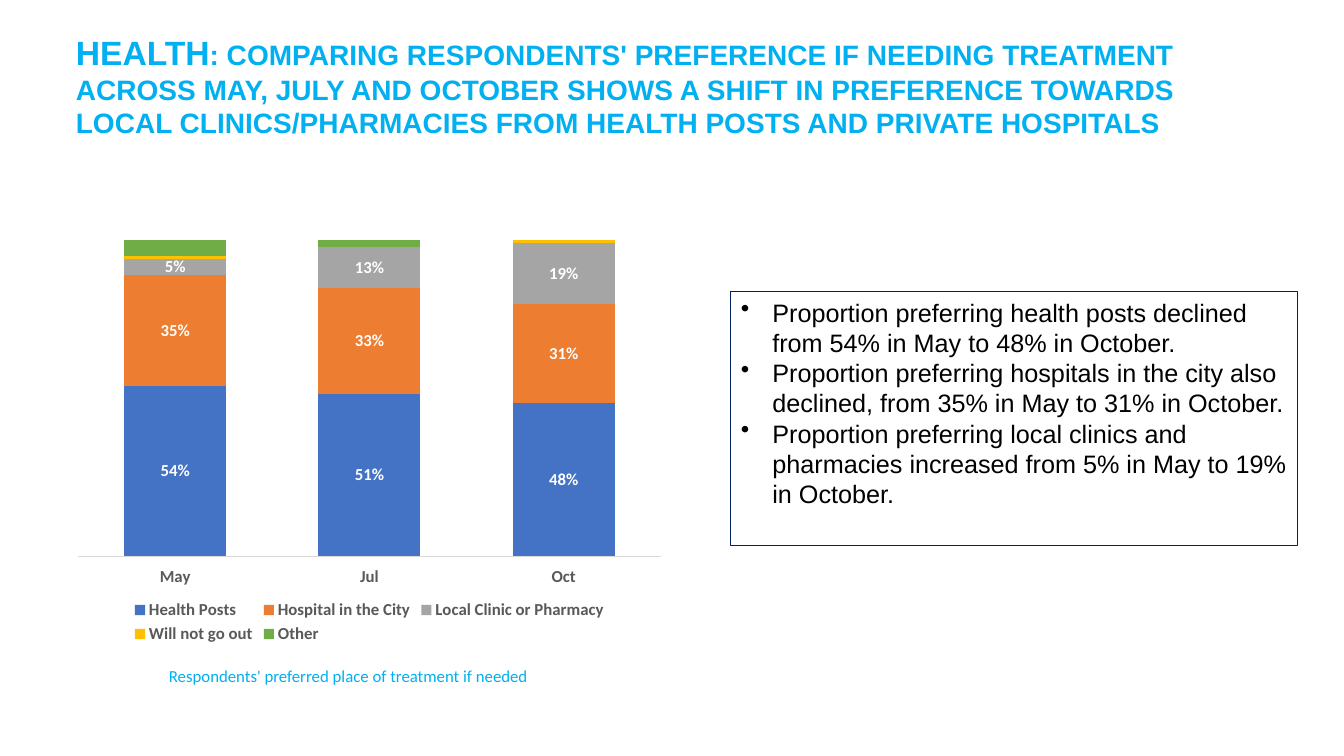
from lxml import etree
from pptx import Presentation
from pptx.chart.data import CategoryChartData
from pptx.dml.color import RGBColor
from pptx.enum.chart import (XL_CHART_TYPE, XL_LABEL_POSITION, XL_LEGEND_POSITION,
                             XL_TICK_LABEL_POSITION, XL_TICK_MARK)
from pptx.enum.shapes import MSO_SHAPE
from pptx.enum.text import MSO_ANCHOR, PP_ALIGN
from pptx.oxml import parse_xml
from pptx.oxml.ns import nsdecls, qn
from pptx.util import Emu, Pt

EMU_PER_PX = 914400 / 100.8
COLORS = {
    "sky": "00B0F0", "navy": "002060", "black": "000000", "white": "FFFFFF",
    "gray": "595959", "axis": "D9D9D9",
    "posts": "4472C4", "hospital": "ED7D31", "clinic": "A5A5A5",
    "stay": "FFC000", "other": "70AD47",
}


def px(length):
    return Emu(round(length * EMU_PER_PX))


def rgb(name):
    return RGBColor.from_string(COLORS[name])


class SlideBuilder:
    heading_font = "Arial"
    chart_font = "Calibri"

    def __init__(self, slide):
        self.slide = slide

    def style(self, font, name, size, color, bold=False):
        font.name, font.size, font.bold = name, Pt(size), bold
        font.color.rgb = rgb(color)

    def text(self, box, runs, name, color, bold=False):
        """Add a one-paragraph text box; runs are (text, size) pairs."""
        frame = self.slide.shapes.add_textbox(*map(px, box)).text_frame
        frame.word_wrap = True
        paragraph = frame.paragraphs[0]
        self.style(paragraph.font, name, runs[0][1], color, bold)
        for words, size in runs:
            run = paragraph.add_run()
            run.text = words
            if size != runs[0][1]:
                run.font.size = Pt(size)

    def bullet_box(self, box, points, size):
        panel = self.slide.shapes.add_shape(MSO_SHAPE.RECTANGLE, *map(px, box))
        panel.shadow.inherit = False
        panel.fill.background()
        panel.line.color.rgb = rgb("navy")
        panel.line.width = Pt(0.75)
        frame = panel.text_frame
        frame.word_wrap = True
        frame.vertical_anchor = MSO_ANCHOR.TOP
        for index, point in enumerate(points):
            paragraph = frame.add_paragraph() if index else frame.paragraphs[0]
            paragraph.text = point
            paragraph.alignment = PP_ALIGN.LEFT
            self.style(paragraph.font, self.heading_font, size, "black")
            # Hanging bullet
            properties = paragraph._p.get_or_add_pPr()
            properties.set("marL", "285750")
            properties.set("indent", "-285750")
            bullet = parse_xml(f'<a:buChar {nsdecls("a")} char="•"/>')
            properties.insert_element_before(bullet, "a:tabLst", "a:defRPr", "a:extLst")

    def stacked_chart(self, box, categories, series, size, plot_box):
        """Add 100% columns; series are (name, values, color, labelled)."""
        data = CategoryChartData(number_format="0%")
        data.categories = categories
        for name, values, _, _ in series:
            data.add_series(name, values)
        chart = self.slide.shapes.add_chart(
            XL_CHART_TYPE.COLUMN_STACKED_100, *map(px, box), data).chart
        self.style(chart.font, self.chart_font, size, "black", True)
        chart.has_title = False
        plot = chart.plots[0]
        plot.gap_width, plot.overlap = 90, 100
        plot.vary_by_categories = False

        # Columns and their labels
        for column, (_, _, color, labelled) in zip(plot.series, series):
            column.format.fill.solid()
            column.format.fill.fore_color.rgb = rgb(color)
            column.invert_if_negative = False
            if labelled:
                labels = column.data_labels
                labels.show_value = True
                labels.number_format = "0%"
                labels.number_format_is_linked = False
                labels.position = XL_LABEL_POSITION.CENTER
                self.style(labels.font, self.chart_font, size, "white", True)

        # Axes
        months = chart.category_axis
        months.major_tick_mark = months.minor_tick_mark = XL_TICK_MARK.NONE
        months.tick_label_position = XL_TICK_LABEL_POSITION.LOW
        months.format.line.color.rgb = rgb("axis")
        months.format.line.width = Pt(0.75)
        self.style(months.tick_labels.font, self.chart_font, size, "gray", True)
        shares = chart.value_axis
        shares.visible = False
        shares.has_major_gridlines = False
        shares.minimum_scale, shares.maximum_scale = 0, 1

        # Legend
        chart.has_legend = True
        chart.legend.position = XL_LEGEND_POSITION.BOTTOM
        chart.legend.include_in_layout = False
        self.style(chart.legend.font, self.chart_font, size, "gray", True)

        # Fixed plot area, as fractions of the chart
        plot_area = chart._chartSpace.chart.plotArea
        for old_layout in plot_area.findall(qn("c:layout")):
            plot_area.remove(old_layout)
        layout = etree.Element(qn("c:layout"))
        manual = etree.SubElement(layout, qn("c:manualLayout"))
        settings = [("layoutTarget", "inner"), ("xMode", "edge"), ("yMode", "edge")]
        for tag, value in settings + list(zip("xywh", plot_box)):
            etree.SubElement(manual, qn(f"c:{tag}")).set("val", str(value))
        plot_area.insert(0, layout)


def main():
    presentation = Presentation()
    presentation.slide_width, presentation.slide_height = px(1344), px(756)
    slide = presentation.slides.add_slide(presentation.slide_layouts[6])
    builder = SlideBuilder(slide)

    # Headline
    builder.text((66, 27, 1218, 119), [
        ("HEALTH", 24),
        (": COMPARING RESPONDENTS' PREFERENCE IF NEEDING TREATMENT ACROSS MAY, JULY "
         "AND OCTOBER SHOWS A SHIFT IN PREFERENCE TOWARDS LOCAL CLINICS/PHARMACIES "
         "FROM HEALTH POSTS AND PRIVATE HOSPITALS", 20),
    ], builder.heading_font, "sky", bold=True)

    # Findings
    builder.bullet_box((731, 292, 567, 254), [
        "Proportion preferring health posts declined from 54% in May to 48% in October.",
        "Proportion preferring hospitals in the city also declined, "
        "from 35% in May to 31% in October.",
        "Proportion preferring local clinics and pharmacies increased "
        "from 5% in May to 19% in October.",
    ], 18)

    # Chart and its caption
    builder.text((159, 661, 419, 30),
                 [("Respondents' preferred place of treatment if needed", 12)],
                 builder.chart_font, "sky")
    builder.stacked_chart((66, 232, 607, 416), ["May", "Jul", "Oct"], [
        ("Health Posts", (0.54, 0.51, 0.48), "posts", True),
        ("Hospital in the City", (0.35, 0.33, 0.31), "hospital", True),
        ("Local Clinic or Pharmacy", (0.05, 0.13, 0.19), "clinic", True),
        ("Will not go out", (0.01, 0, 0.01), "stay", False),
        ("Other", (0.05, 0.02, 0), "other", False),
    ], 12, (0.02, 0.02, 0.96, 0.76))

    presentation.save("out.pptx")


if __name__ == "__main__":
    main()
